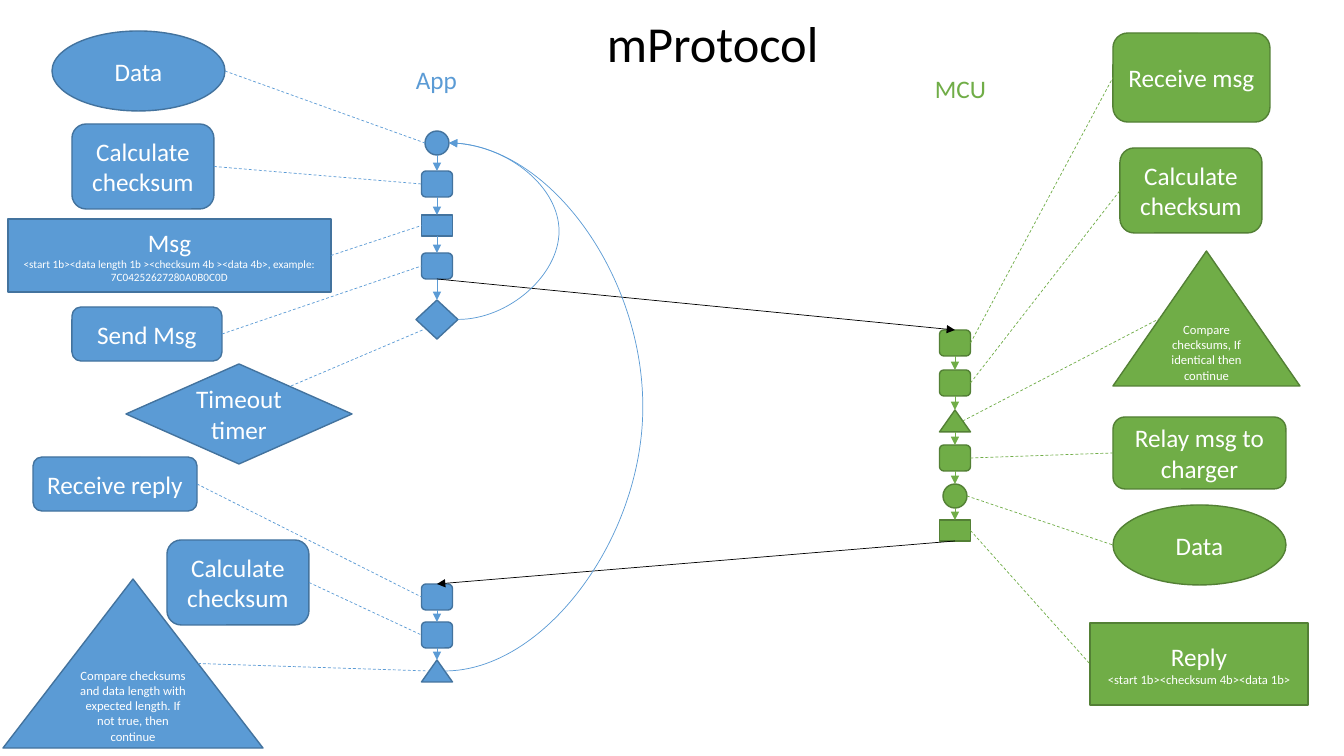
from lxml import etree
from pptx import Presentation
from pptx import util as u
from pptx.dml import color
from pptx.enum import dml, shapes, text
from pptx.oxml import ns

FONT = "Calibri"
BLUE, BLUE_EDGE = "5B9BD5", "43739E"
GREEN, GREEN_EDGE = "70AD47", "538035"
WHITE, BLACK = "FFFFFF", "000000"

KIND = shapes.MSO_SHAPE
DATA, STEP, MESSAGE = KIND.OVAL, KIND.ROUNDED_RECTANGLE, KIND.RECTANGLE
CHECK, TIMER = KIND.ISOSCELES_TRIANGLE, KIND.FLOWCHART_DECISION

# Width and height of the small timeline nodes
NODE_SIZES = {DATA: (24, 24), STEP: (31, 26), MESSAGE: (31, 21), CHECK: (31, 22), TIMER: (42, 39)}

# Connection points as fractions of a shape's width and height
TOP, BOTTOM, LEFT, RIGHT = (0.5, 0), (0.5, 1), (0, 0.5), (1, 0.5)
LEFT_POINTS = {CHECK: (0.25, 0.5), TIMER: (0.2, 0.75)}
RIGHT_POINTS = {CHECK: (0.75, 0.5), TIMER: (0.73, 0.22)}

APP_DETAILS = [
    (DATA, (52, 31, 173, 80), [("Data", 18)]),
    (STEP, (72, 124, 142, 85), [("Calculate checksum", 18)]),
    (MESSAGE, (8, 219, 323, 73), [
        ("Msg", 18),
        ("<start 1b><data length 1b ><checksum 4b ><data 4b>, example:", 8),
        ("7C04252627280A0B0C0D", 8)]),
    (STEP, (72, 307, 150, 54), [("Send Msg", 18)]),
    (TIMER, (126, 364, 226, 100), [("Timeout timer", 18)]),
    (STEP, (33, 457, 164, 54), [("Receive reply", 18)]),
    (STEP, (167, 540, 142, 85), [("Calculate checksum", 18)]),
    (CHECK, (3, 579, 260, 169), [
        ("Compare checksums and data length with expected length. "
         "If not true, then continue", 9)]),
]
CONTROLLER_DETAILS = [
    (STEP, (1113, 33, 157, 89), [("Receive msg", 18)]),
    (STEP, (1120, 148, 142, 85), [("Calculate checksum", 18)]),
    (CHECK, (1113, 251, 187, 135), [
        ("Compare checksums, If identical then continue", 9)]),
    (STEP, (1113, 417, 173, 72), [("Relay msg to charger", 18)]),
    (DATA, (1113, 505, 173, 80), [("Data", 18)]),
    (MESSAGE, (1090, 623, 218, 82), [
        ("Reply", 18), ("<start 1b><checksum 4b><data 1b>", 9)]),
]
SEND_TOPS = [131, 171, 215, 253, 300]
REPLY_TOPS = [584, 622, 660]
CONTROLLER_TOPS = [330, 370, 410, 445, 484, 520]


def px(length):
    """Turn pixels into EMU."""
    return u.Emu(round(length * 914400 / 100.8))


def rgb(value):
    """Turn a hex string into a colour."""
    return color.RGBColor.from_string(value)


def write(frame, lines, ink, alignment):
    """Fill a text frame with (text, size) paragraphs."""
    for index, (words, size) in enumerate(lines):
        paragraph = frame.add_paragraph() if index else frame.paragraphs[0]
        paragraph.text = words
        paragraph.alignment = alignment
        paragraph.font.name = FONT
        paragraph.font.size = u.Pt(size)
        paragraph.font.color.rgb = rgb(ink)


def add_label(slide, box, words, size, ink):
    """Add a heading without wrapping."""
    frame = slide.shapes.add_textbox(*map(px, box)).text_frame
    frame.word_wrap = False
    write(frame, [(words, size)], ink, text.PP_ALIGN.LEFT)


def add_symbol(slide, kind, box, fill, edge, lines=()):
    """Add a filled preset shape with optional centred text."""
    shape = slide.shapes.add_shape(kind, *map(px, box))
    shape.shadow.inherit = False
    shape.fill.solid()
    shape.fill.fore_color.rgb = rgb(fill)
    shape.line.color.rgb = rgb(edge)
    shape.line.width = u.Pt(1)
    shape.text_frame.word_wrap = True
    shape.text_frame.vertical_anchor = text.MSO_ANCHOR.MIDDLE
    write(shape.text_frame, lines, WHITE, text.PP_ALIGN.CENTER)
    return shape


def point(shape, fraction):
    """Return the slide position of a fractional point on a shape."""
    across, down = fraction
    return (round(shape.left + across * shape.width),
            round(shape.top + down * shape.height))


def add_link(slide, start, end, ink, arrow=True, bulge=None):
    """Join two points: an arrow or dashed line, curved out to x = bulge."""
    types = shapes.MSO_CONNECTOR
    connector = slide.shapes.add_connector(
        types.STRAIGHT if bulge is None else types.CURVE, *start, *end)
    connector.line.color.rgb = rgb(ink)
    connector.line.width = u.Pt(0.5)
    if arrow:
        etree.SubElement(connector.get_or_add_ln(), ns.qn("a:tailEnd"), type="triangle")
    else:
        connector.line.dash_style = dml.MSO_LINE.DASH
    properties = connector.element.spPr
    etree.SubElement(properties, ns.qn("a:effectLst"))
    if bulge is not None:
        share = round(100000 * (px(bulge) - start[0]) / (end[0] - start[0]))
        guides = properties.find(ns.qn("a:prstGeom")).get_or_add_avLst()
        etree.SubElement(guides, ns.qn("a:gd"), name="adj1", fmla=f"val {share}")


def add_details(slide, details, fill, edge):
    """Add the large explained shapes of one side."""
    return [add_symbol(slide, kind, box, fill, edge, lines)
            for kind, box, lines in details]


def add_timeline(slide, center, kinds, tops, fill, edge):
    """Add a column of small nodes joined by downward arrows."""
    nodes = []
    for kind, top in zip(kinds, tops):
        width, height = NODE_SIZES[kind]
        box = (center - width / 2, top, width, height)
        nodes.append(add_symbol(slide, kind, box, fill, edge))
    for upper, lower in zip(nodes, nodes[1:]):
        add_link(slide, point(upper, BOTTOM), point(lower, TOP), fill)
    return nodes


def add_leaders(slide, left_shapes, right_shapes, ink):
    """Join shapes pairwise, left to right, with dashed lines."""
    for left, right in zip(left_shapes, right_shapes):
        start = point(left, RIGHT_POINTS.get(left.auto_shape_type, RIGHT))
        end = point(right, LEFT_POINTS.get(right.auto_shape_type, LEFT))
        add_link(slide, start, end, ink, arrow=False)


def main():
    """Build the protocol slide."""
    presentation = Presentation()
    presentation.slide_width, presentation.slide_height = px(1344), px(756)
    slide = presentation.slides.add_slide(presentation.slide_layouts[6])

    add_label(slide, (597, 7, 241, 72), "mProtocol", 36, BLACK)
    add_label(slide, (406, 59, 61, 40), "App", 18, BLUE)
    add_label(slide, (925, 68, 80, 40), "MCU", 18, GREEN)

    app_details = add_details(slide, APP_DETAILS, BLUE, BLUE_EDGE)
    controller_details = add_details(slide, CONTROLLER_DETAILS, GREEN, GREEN_EDGE)

    app_kinds = [kind for kind, _, _ in APP_DETAILS]
    controller_kinds = [kind for kind, _, _ in CONTROLLER_DETAILS]
    split = len(SEND_TOPS)
    sending = add_timeline(slide, 437, app_kinds[:split], SEND_TOPS, BLUE, BLUE_EDGE)
    replying = add_timeline(slide, 437, app_kinds[split:], REPLY_TOPS, BLUE, BLUE_EDGE)
    controller = add_timeline(slide, 955, controller_kinds, CONTROLLER_TOPS,
                              GREEN, GREEN_EDGE)

    add_leaders(slide, app_details, sending + replying, BLUE)
    add_leaders(slide, controller, controller_details, GREEN)

    add_link(slide, point(sending[3], BOTTOM), point(controller[0], TOP), BLACK)
    add_link(slide, point(controller[-1], BOTTOM), point(replying[0], TOP), BLACK)

    restart = point(sending[0], RIGHT)
    add_link(slide, point(sending[-1], RIGHT), restart, BLUE, bulge=559)
    add_link(slide, point(replying[-1], RIGHT_POINTS[CHECK]), restart, BLUE, bulge=643)

    presentation.save("out.pptx")


main()
